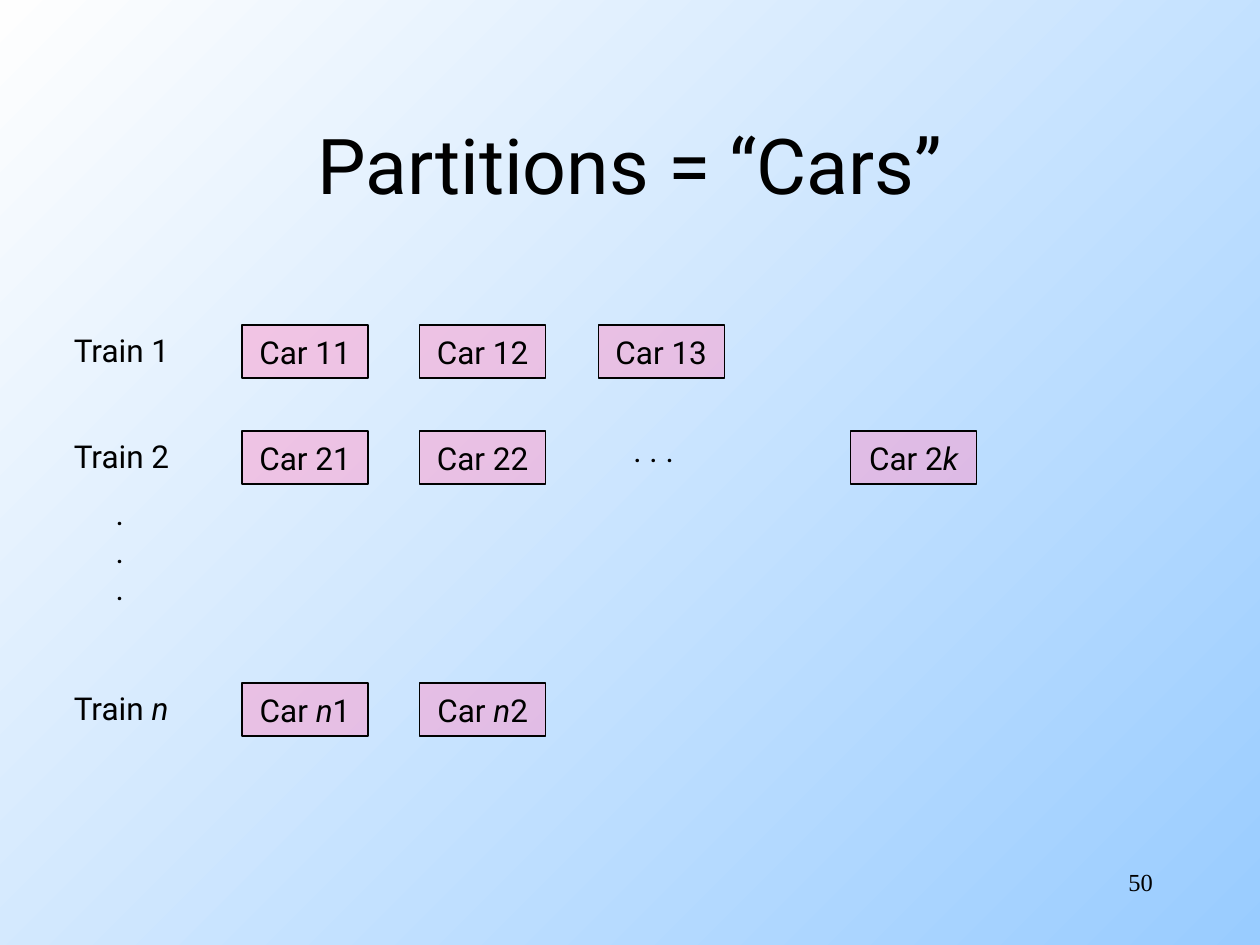
"""Build a slide that shows partitions as the cars of several trains."""
from lxml import etree
from pptx import Presentation, util as u
from pptx.dml.color import RGBColor
from pptx.enum import shapes, text
from pptx.oxml.ns import qn

TITLE = "Partitions = “Cars”"
PAGE_NUMBER = "50"
# Underscores enclose italic letters; numbers pick a car's column.
TRAINS = [
    ("Train 1", 6.55, {0: "Car 11", 1: "Car 12", 2: "Car 13"}),
    ("Train 2", 8.69, {0: "Car 21", 1: "Car 22", 3: "Car 2_k_"}),
    ("Train _n_", 13.77, {0: "Car _n_1", 1: "Car _n_2"}),
]
COLUMNS = [4.88, 8.46, 12.06, 17.15]
CAR_SIZE = (2.54, 1.07)
LABEL_LEFT, LABEL_SIZE = 1.24, (2.57, 1.02)
ELLIPSES = [
    ([". . ."], (12.52, 8.56, 1.35, 1.02)),
    ([".", ".", "."], (2.08, 9.83, 0.66, 2.54)),
]
FONT, NUMBER_FONT = "Roboto", "Times New Roman"
INK, PINK, SKY, WHITE = "000000", "FF99CC", "99CCFF", "FEFEFE"


def color(value):
    return RGBColor.from_string(value)


def write(box, lines, size=18, font=FONT, align=text.PP_ALIGN.LEFT,
          anchor=text.MSO_ANCHOR.TOP, wrap=False):
    frame = box.text_frame
    frame.word_wrap = wrap
    frame.vertical_anchor = anchor
    for index, line in enumerate(lines):
        para = frame.add_paragraph() if index else frame.paragraphs[0]
        para.alignment = align
        para.font.size, para.font.name = u.Pt(size), font
        para.font.color.rgb = color(INK)
        for part, piece in enumerate(line.split("_")):
            if piece:
                span = para.add_run()
                span.text = piece
                if part % 2:
                    span.font.italic = True


def add_text(page, lines, place, **style):
    box = page.shapes.add_textbox(*map(u.Cm, place))
    write(box, lines, **style)


def add_car(page, name, left, top):
    car = page.shapes.add_shape(shapes.MSO_SHAPE.RECTANGLE,
                                *map(u.Cm, (left, top, *CAR_SIZE)))
    car.shadow.inherit = False
    car.fill.solid()
    car.fill.fore_color.rgb = color(PINK)
    tint = car._element.xpath("./p:spPr/a:solidFill/a:srgbClr")[0]
    etree.SubElement(tint, qn("a:alpha"), val="50000")
    car.line.color.rgb = color(INK)
    car.line.width = u.Pt(0.75)
    write(car, [name], align=text.PP_ALIGN.CENTER, anchor=text.MSO_ANCHOR.MIDDLE)


def paint_background(page):
    fill = page.background.fill
    fill.gradient()
    fill.gradient_angle = 135
    for stop, value in zip(fill.gradient_stops, (SKY, WHITE)):
        stop.color.rgb = color(value)


def main():
    deck = Presentation()
    deck.slide_width, deck.slide_height = u.Cm(25.4), u.Cm(19.05)
    page = deck.slides.add_slide(deck.slide_layouts[5])
    paint_background(page)

    title = page.shapes.title
    title.left, title.top, title.width, title.height = map(u.Cm, (1.9, 1.7, 21.6, 3.18))
    write(title, [TITLE], size=44, align=text.PP_ALIGN.CENTER,
          anchor=text.MSO_ANCHOR.MIDDLE, wrap=True)

    for label, top, cars in TRAINS:
        add_text(page, [label], (LABEL_LEFT, top, *LABEL_SIZE))
        for column, name in cars.items():
            add_car(page, name, COLUMNS[column], top)
    for lines, place in ELLIPSES:
        add_text(page, lines, place)
    add_text(page, [PAGE_NUMBER], (18.21, 17.35, 5.28, 1.27), size=14,
             font=NUMBER_FONT, align=text.PP_ALIGN.RIGHT, wrap=True)
    deck.save("out.pptx")


if __name__ == "__main__":
    main()
